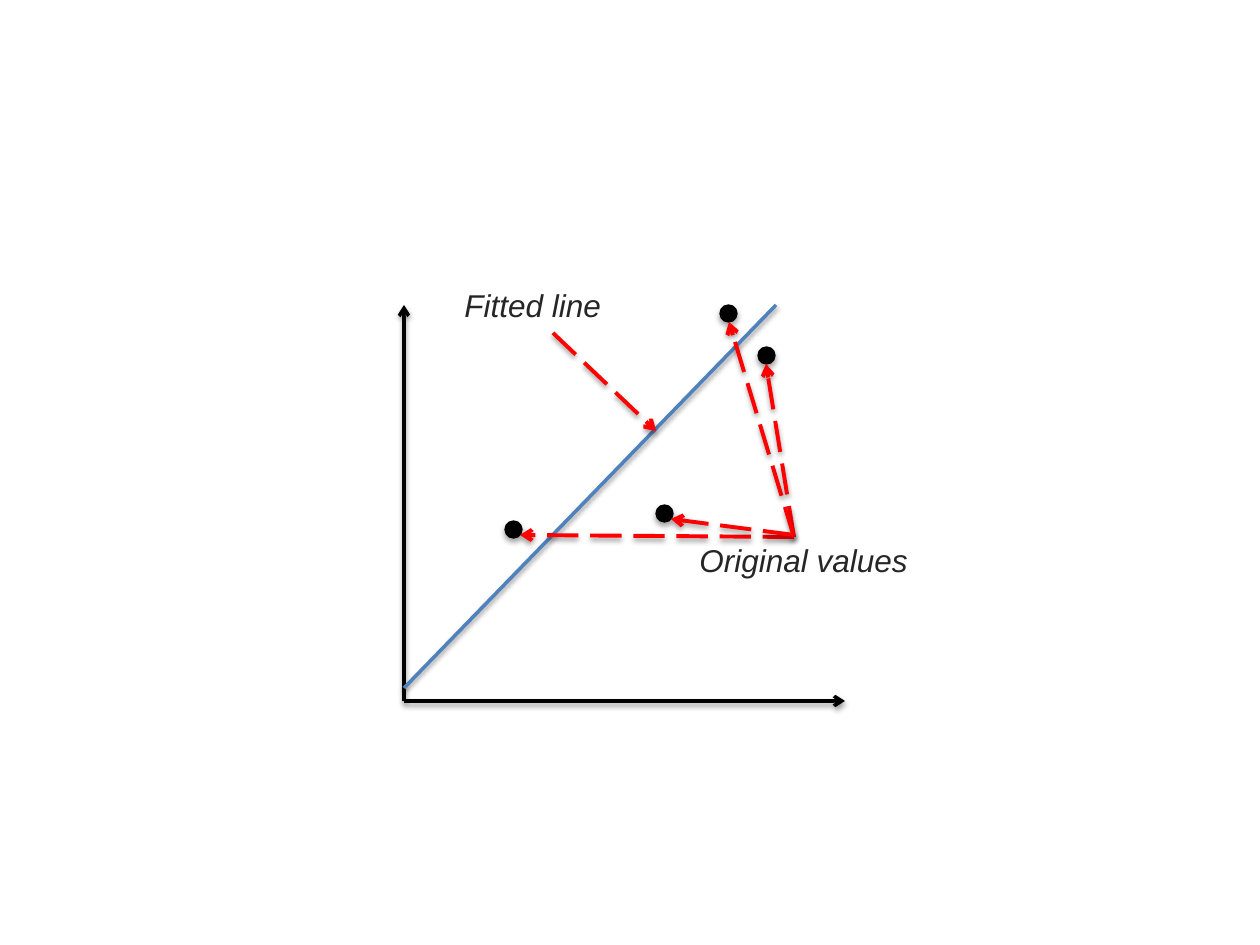
from dataclasses import dataclass

import lxml.etree
import pptx
import pptx.dml.color
import pptx.enum.dml
import pptx.enum.shapes
import pptx.enum.text
import pptx.oxml.ns
import pptx.util

SCALE = 914400 / 126
DOT = 17
HUB = (794, 537)
BASE = (404, 701)


@dataclass
class Line:
    start: tuple[int, int]
    end: tuple[int, int]
    color: str = "FF0000"
    width: float = 2.25
    dash: bool = True
    arrow: bool = True


@dataclass
class Label:
    text: str
    left: int
    top: int
    width: int


def px(value: float) -> int:
    return round(value * SCALE)


def paint(target, color: str) -> None:
    target.rgb = pptx.dml.color.RGBColor.from_string(color)


def node(parent, tag: str, **attrs):
    return lxml.etree.SubElement(parent, pptx.oxml.ns.qn(tag), attrs)


def shade(shape, alpha: int, dist: float) -> None:
    props = shape._element.spPr
    effect = props.find(pptx.oxml.ns.qn("a:effectLst"))
    if effect is None:
        effect = node(props, "a:effectLst")
    outer = node(effect, "a:outerShdw", blurRad=str(pptx.util.Pt(3.1)),
                 dist=str(pptx.util.Pt(dist)), dir="5400000", rotWithShape="0")
    tint = node(outer, "a:srgbClr", val="000000")
    node(tint, "a:alpha", val=str(alpha * 1000))


def draw(slide, line: Line) -> None:
    shape = slide.shapes.add_connector(
        pptx.enum.shapes.MSO_CONNECTOR.STRAIGHT,
        *map(px, line.start + line.end))
    paint(shape.line.fill.fore_color if shape.line.fill.type else shape.line.color, line.color)
    shape.line.width = pptx.util.Pt(line.width)
    if line.dash:
        shape.line.dash_style = pptx.enum.dml.MSO_LINE.LONG_DASH
    if line.arrow:
        node(shape.line._get_or_add_ln(), "a:tailEnd", type="arrow")
    shade(shape, 38, 1.6)


def plot(slide, left: int, top: int) -> None:
    dot = slide.shapes.add_shape(pptx.enum.shapes.MSO_SHAPE.OVAL,
                                 px(left), px(top), px(DOT), px(DOT))
    dot.fill.solid()
    paint(dot.fill.fore_color, "000000")
    paint(dot.line.color, "000000")
    dot.line.width = pptx.util.Pt(0.75)
    dot.shadow.inherit = False
    shade(dot, 35, 1.8)


def write(slide, label: Label, *, size: int = 18, color: str = "262626",
          font: str = "Arial", italic: bool = True) -> None:
    box = slide.shapes.add_textbox(px(label.left), px(label.top), px(label.width), px(50))
    frame = box.text_frame
    frame.word_wrap = False
    frame.auto_size = pptx.enum.text.MSO_AUTO_SIZE.SHAPE_TO_FIT_TEXT
    run = frame.paragraphs[0].add_run()
    run.text = label.text
    run.font.size = pptx.util.Pt(size)
    run.font.name = font
    run.font.italic = italic
    paint(run.font.color, color)


# Axes and fitted line
AXES = [
    Line(BASE, (404, 305), "000000", 2, dash=False),
    Line(BASE, (845, 701), "000000", 2, dash=False),
    Line((404, 688), (776, 305), "4F81BD", 2, dash=False, arrow=False),
]

# Data points, left and top
DOTS = [(505, 521), (656, 505), (758, 347), (720, 305)]

# Dashed pointers: one to the line, the rest to the points
HINTS = [Line((553, 333), (656, 431))] + [
    Line(HUB, tip) for tip in [(766, 364), (729, 322), (520, 535)]
] + [Line((794, 535), (671, 519))]

LABELS = [
    Label("Fitted line", 452, 280, 171),
    Label("Original values", 687, 535, 243),
]


def main() -> None:
    deck = pptx.Presentation()
    deck.slide_width = pptx.util.Inches(10)
    deck.slide_height = pptx.util.Inches(7.5)
    slide = deck.slides.add_slide(deck.slide_layouts[6])
    for axis in AXES:
        draw(slide, axis)
    for left, top in DOTS:
        plot(slide, left, top)
    for hint in HINTS:
        draw(slide, hint)
    for label in LABELS:
        write(slide, label)
    deck.save("out.pptx")


main()
